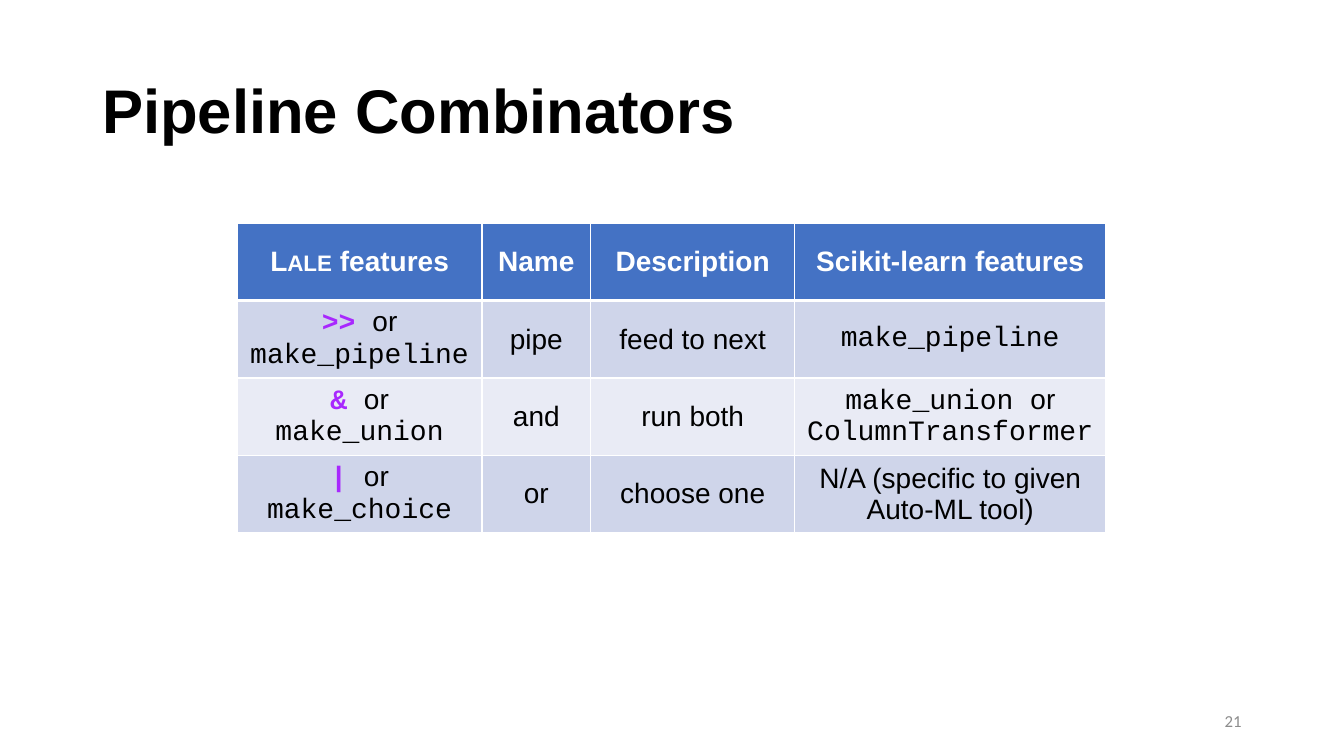
from lxml.etree import SubElement
from pptx import Presentation
from pptx.dml.color import RGBColor
from pptx.enum.text import MSO_ANCHOR as Anchor, PP_ALIGN as Align
from pptx.oxml.ns import qn
from pptx.util import Pt

SANS, MONO = "Arial", "Courier New"
BLACK, WHITE, PURPLE, GRAY = "000000", "FFFFFF", "A828FE", "8C8C8C"
HEADER_BLUE, BANDS = "4472C4", ("CFD5EA", "E9EBF5")

# Run styles: font, colour, bold, small caps
HEAD = (SANS, WHITE, True, False)
HEAD_CAPS = (SANS, WHITE, True, True)
PLAIN = (SANS, BLACK, False, False)
CODE = (MONO, BLACK, False, False)
OPERATOR = (MONO, PURPLE, True, False)
TITLE = (SANS, BLACK, True, False)
NUMBER = ("Calibri", GRAY, False, False)

# Each cell is a list of paragraphs, each paragraph a list of (text, style)
HEADER = [
    [[("Lale", HEAD_CAPS), (" features", HEAD)]],
    [[("Name", HEAD)]],
    [[("Description", HEAD)]],
    [[("Scikit-learn features", HEAD)]],
]
COMBINATORS = [
    [
        [[(">> ", OPERATOR), ("or ", PLAIN), ("make_pipeline", CODE)]],
        [[("pipe", PLAIN)]],
        [[("feed to next", PLAIN)]],
        [[("make_pipeline", CODE)]],
    ],
    [
        [[("& ", OPERATOR), ("or", PLAIN)], [("make_union", CODE)]],
        [[("and", PLAIN)]],
        [[("run both", PLAIN)]],
        [[("make_union ", CODE), ("or ", PLAIN), ("ColumnTransformer", CODE)]],
    ],
    [
        [[("| ", OPERATOR), ("or", PLAIN)], [("make_choice", CODE)]],
        [[("or", PLAIN)]],
        [[("choose one", PLAIN)]],
        [[("N/A (specific to given Auto-ML tool)", PLAIN)]],
    ],
]


def color(hex_string):
    return RGBColor.from_string(hex_string)


class SlideBuilder:
    def __init__(self, slide, table_size=20):
        self.slide = slide
        self.table_size = table_size

    def fill_text(self, frame, paragraphs, size, align, line_spacing=None):
        for index, runs in enumerate(paragraphs):
            paragraph = frame.add_paragraph() if index else frame.paragraphs[0]
            paragraph.alignment = align
            if line_spacing:
                paragraph.line_spacing = line_spacing
            for words, (face, ink, bold, small_caps) in runs:
                run = paragraph.add_run()
                run.text = words
                run.font.name = face
                run.font.size = Pt(size)
                run.font.bold = bold
                run.font.color.rgb = color(ink)
                if small_caps:
                    run.font._element.set("cap", "small")

    def text(self, left, top, width, height, words, style, size, align,
             line_spacing=None):
        box = self.slide.shapes.add_textbox(
            Pt(left), Pt(top), Pt(width), Pt(height))
        box.text_frame.word_wrap = True
        box.text_frame.vertical_anchor = Anchor.MIDDLE
        self.fill_text(box.text_frame, [[(words, style)]], size, align,
                       line_spacing)

    def borders(self, cell, top, bottom):
        """Draw white cell borders; call before the cell gets its fill."""
        properties = cell._tc.get_or_add_tcPr()
        for side, width in (("L", 1), ("R", 1), ("T", top), ("B", bottom)):
            line = SubElement(properties, qn(f"a:ln{side}"), w=str(Pt(width)))
            fill = SubElement(line, qn("a:solidFill"))
            SubElement(fill, qn("a:srgbClr"), val=WHITE)

    def table(self, left, top, widths, heights, rows):
        grid = self.slide.shapes.add_table(
            len(rows), len(widths), Pt(left), Pt(top),
            Pt(sum(widths)), Pt(sum(heights))).table
        for column, width in zip(grid.columns, widths):
            column.width = Pt(width)
        for r, (row, height) in enumerate(zip(rows, heights)):
            grid.rows[r].height = Pt(height)
            for c, paragraphs in enumerate(row):
                cell = grid.cell(r, c)
                self.borders(cell, top=3 if r == 1 else 1,
                             bottom=3 if r == 0 else 1)
                cell.fill.solid()
                cell.fill.fore_color.rgb = color(
                    BANDS[(r - 1) % 2] if r else HEADER_BLUE)
                cell.vertical_anchor = Anchor.MIDDLE
                self.fill_text(cell.text_frame, paragraphs, self.table_size,
                               Align.CENTER)


def main():
    deck = Presentation()
    deck.slide_width, deck.slide_height = Pt(960), Pt(540)
    builder = SlideBuilder(deck.slides.add_slide(deck.slide_layouts[6]))
    builder.text(678, 500.5, 216, 28.75, "21", NUMBER, 12, Align.RIGHT)
    builder.table(169.5, 159.25, widths=(174.75, 77.75, 145.75, 222.25),
                  heights=(55.5, 54.25, 54.25, 54.25),
                  rows=[HEADER, *COMBINATORS])
    builder.text(66, 28.75, 828, 104.4, "Pipeline Combinators", TITLE, 44,
                 Align.LEFT, line_spacing=0.9)
    deck.save("out.pptx")


if __name__ == "__main__":
    main()
